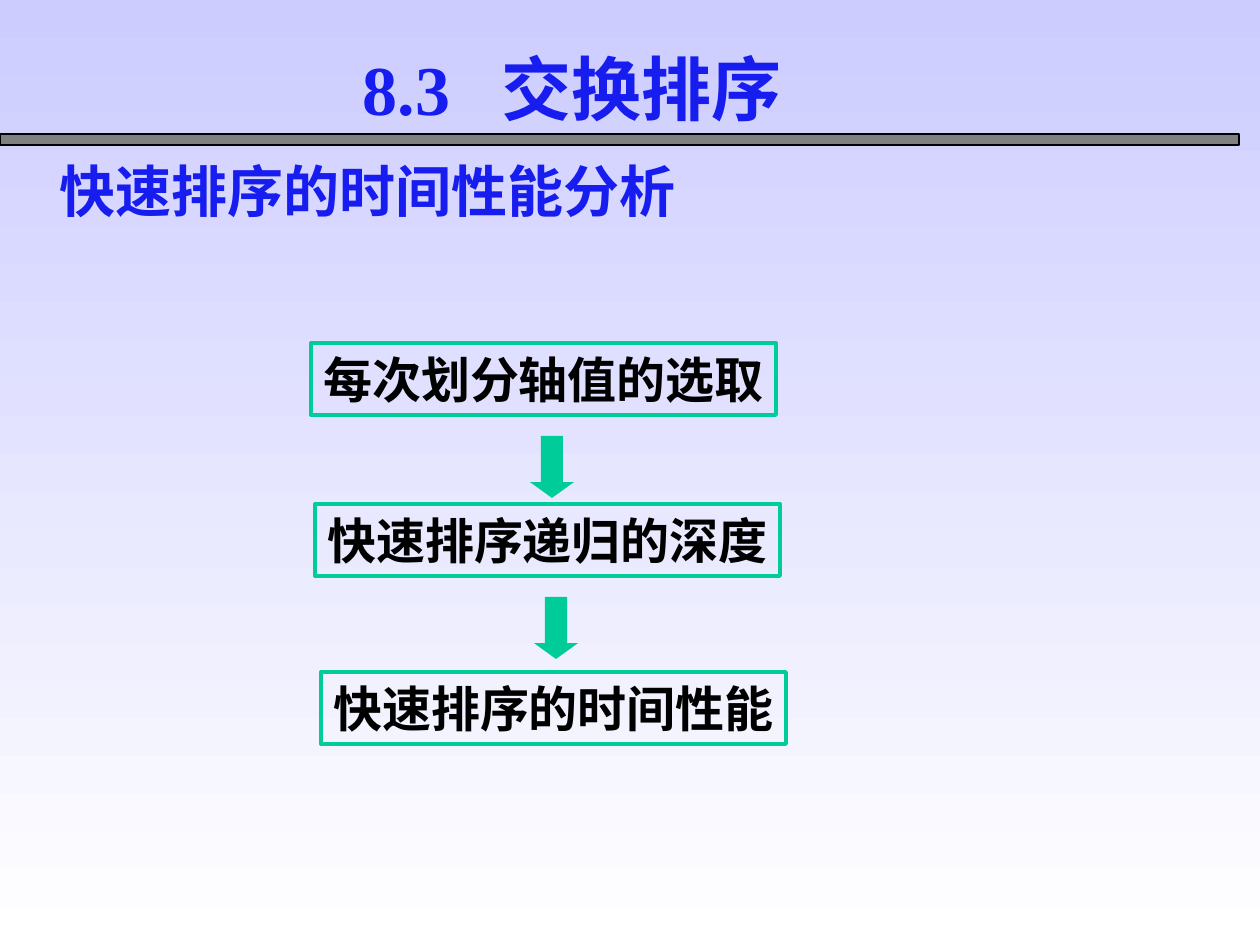
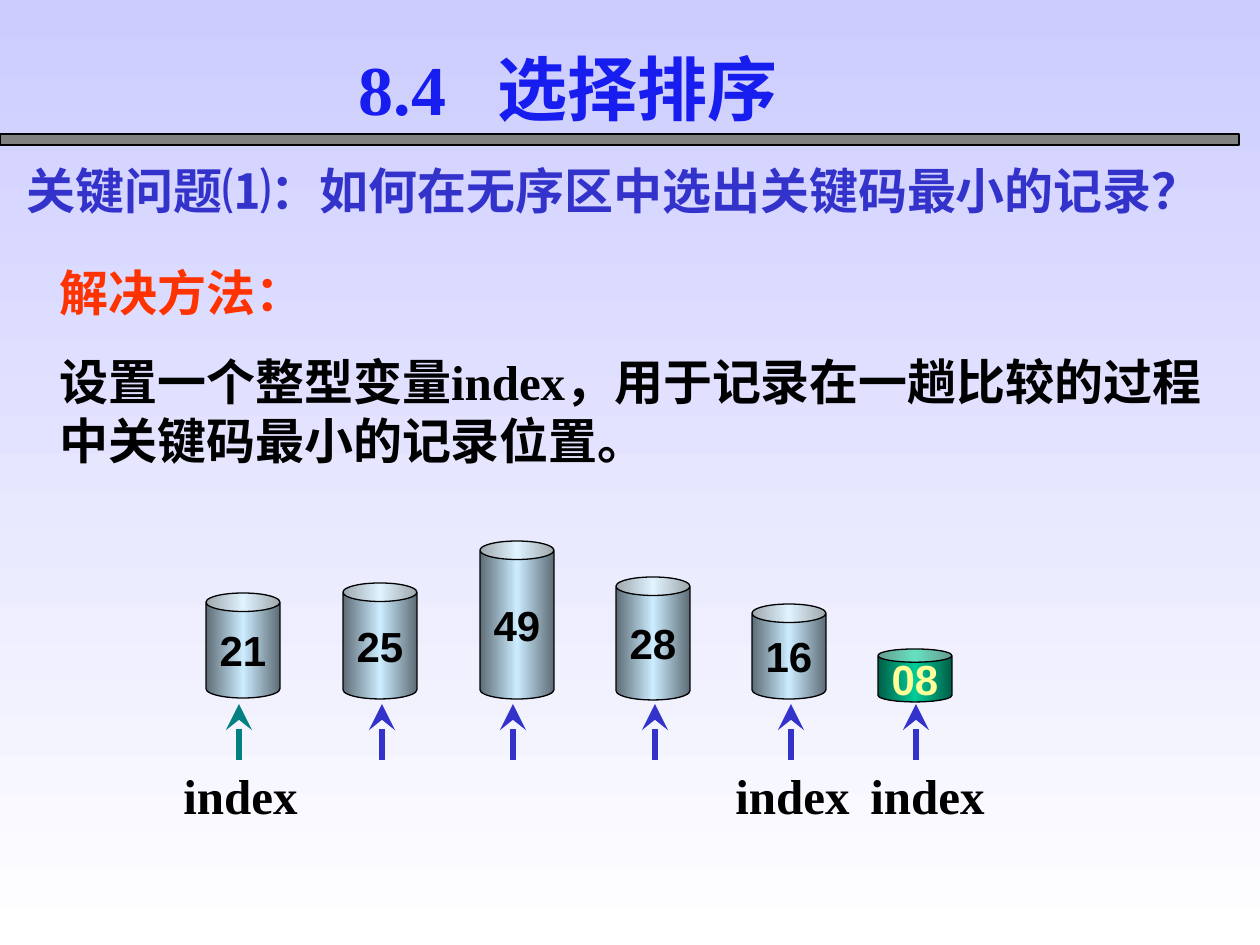
from copy import deepcopy

from lxml.etree import SubElement
from pptx import Presentation
from pptx.dml.color import RGBColor
from pptx.enum.shapes import MSO_CONNECTOR, MSO_SHAPE
from pptx.enum.text import MSO_ANCHOR, MSO_AUTO_SIZE, PP_ALIGN
from pptx.oxml import parse_xml
from pptx.oxml.ns import nsdecls, qn
from pptx.util import Pt

PX = 914400 / 126
SERIF, SANS, CJK = "Times New Roman", "Arial", "Noto Sans CJK SC"
BLUE, INDIGO, GREEN, TEAL = "171CEF", "3333CC", "00CC99", "008080"
RED, BLACK, GREY, YELLOW = "FF3300", "000000", "808080", "FFFF99"


def color(value):
    return RGBColor.from_string(value)


def add_span(para, text, size, font, ink):
    span = para.add_run()
    span.text = text
    span.font.size = Pt(size)
    span.font.bold = True
    span.font.name = font
    span.font.color.rgb = color(ink)
    latin = span._r.rPr.find(qn("a:latin"))
    latin.addnext(parse_xml(f'<a:ea {nsdecls("a")} typeface="{CJK}"/>'))
    return span


deck = Presentation()
deck.slide_width, deck.slide_height = round(1260 * PX), round(945 * PX)

# Shared background
backdrop = deck.slide_master.background.fill
backdrop.gradient()
backdrop.gradient_angle = 270
for stop, shade, position in zip(backdrop.gradient_stops, ("CCCCFF", "FFFFFF"), (0, 1)):
    stop.color.rgb = color(shade)
    stop.position = position

# Titles and body text: title, its left edge, body frame, body paragraphs of spans
contents = [
    ("8.3\t交换排序", 350, (47, 150, 725, 81),
     [[("快速排序的时间性能分析", 32, SERIF, BLUE)]]),
    ("8.4\t选择排序", 346, (47, 256, 1191, 220),
     [[("解决方法：", 28, SERIF, RED)],
      [("设置一个整型变量index，用于记录在一趟比较的过程中关键码", 28, SERIF, BLACK),
       ("最小的记录位置。", 28, CJK, BLACK)]]),
]
pages = []
for heading, heading_left, body_frame, body_paras in contents:
    page = deck.slides.add_slide(deck.slide_layouts[1])
    pages.append(page)

    # Band under the title
    band = page.shapes.add_shape(MSO_SHAPE.RECTANGLE, 0, round(134 * PX),
                                 round(1239 * PX), round(11 * PX))
    band.shadow.inherit = False
    band.fill.solid()
    band.fill.fore_color.rgb = color(GREY)
    band.line.color.rgb = color(BLACK)
    band.line.width = Pt(0.75)

    # Placeholder frames
    title, body = page.shapes.title, page.placeholders[1]
    for holder, frame in ((title, (heading_left, 39, 500, 97)), (body, body_frame)):
        holder.left, holder.top, holder.width, holder.height = [round(n * PX) for n in frame]
        holder.text_frame.vertical_anchor = MSO_ANCHOR.TOP
        holder.text_frame.auto_size = MSO_AUTO_SIZE.NONE
        holder.text_frame.word_wrap = True

    # Title with a tab between number and name, and a text shadow
    para = title.text_frame.paragraphs[0]
    para.alignment = PP_ALIGN.LEFT
    tabs = SubElement(para._p.get_or_add_pPr(), qn("a:tabLst"))
    SubElement(tabs, qn("a:tab"), pos=str(round(139 * PX)), algn="l")
    span = add_span(para, heading, 40, SERIF, BLUE)
    span._r.rPr.find(qn("a:solidFill")).addnext(parse_xml(
        f'<a:effectLst {nsdecls("a")}><a:outerShdw dist="35921" dir="2700000">'
        f'<a:srgbClr val="{GREY}"/></a:outerShdw></a:effectLst>'))

    # Body without bullets
    for i, spans in enumerate(body_paras):
        para = body.text_frame.paragraphs[0] if i == 0 else body.text_frame.add_paragraph()
        props = para._p.get_or_add_pPr()
        props.set("marL", "0")
        props.set("indent", "0")
        SubElement(props, qn("a:buNone"))
        para.space_before = Pt(17.5 if i else 0)
        for words in spans:
            add_span(para, *words)

quick_page, select_page = pages

# Chain of factors
for text, left, top in (("每次划分轴值的选取", 311, 343),
                        ("快速排序递归的深度", 315, 504),
                        ("快速排序的时间性能", 321, 672)):
    box = quick_page.shapes.add_shape(MSO_SHAPE.RECTANGLE, round(left * PX), round(top * PX),
                                      round(465 * PX), round(72 * PX))
    box.shadow.inherit = False
    box.fill.background()
    box.line.color.rgb = color(GREEN)
    box.line.width = Pt(2.25)
    box.text_frame.word_wrap = False
    para = box.text_frame.paragraphs[0]
    para.alignment = PP_ALIGN.CENTER
    add_span(para, text, 28, CJK, BLACK)

for left, top in ((530, 436), (534, 597)):
    arrow = quick_page.shapes.add_shape(MSO_SHAPE.DOWN_ARROW, round(left * PX), round(top * PX),
                                        round(44 * PX), round(62 * PX))
    arrow.adjustments[1] = 0.36
    arrow.shadow.inherit = False
    arrow.fill.solid()
    arrow.fill.fore_color.rgb = color(GREEN)
    arrow.line.fill.background()

# Key question
box = select_page.shapes.add_textbox(round(14 * PX), round(154 * PX),
                                     round(1211 * PX), round(72 * PX))
box.text_frame.word_wrap = True
para = box.text_frame.paragraphs[0]
add_span(para, "关键问题⑴：", 28, CJK, INDIGO)
add_span(para, "如何在无序区中选出关键码最小的记录？", 28, SANS, INDIGO)

# Records: key, left, top, height, pointer x
records = [("21", 206, 593, 105, 239), ("25", 343, 583, 116, 382),
           ("49", 480, 541, 158, 513), ("28", 616, 577, 123, 655),
           ("16", 752, 604, 95, 791), ("08", 878, 649, 53, 916)]
for key, left, top, height, pointer_x in records:
    smallest = key == "08"
    edge, middle, ink = ("005E47", GREEN, YELLOW) if smallest else ("5E6D76", "CCECFF", BLACK)
    can = select_page.shapes.add_shape(MSO_SHAPE.CAN, round(left * PX), round(top * PX),
                                       round(74 * PX), round(height * PX))
    can.shadow.inherit = False
    can.line.color.rgb = color(BLACK)
    can.line.width = Pt(0.75)
    can.fill.gradient()
    can.fill.gradient_angle = 0
    for stop, shade, position in zip(can.fill.gradient_stops, (edge, middle), (0, 0.5)):
        stop.color.rgb = color(shade)
        stop.position = position
    stops = can.element.spPr.find(".//" + qn("a:gsLst"))
    stops.append(deepcopy(stops[0]))
    stops[-1].set("pos", "100000")
    can.text_frame.word_wrap = False
    para = can.text_frame.paragraphs[0]
    para.alignment = PP_ALIGN.CENTER
    add_span(para, key, 24, SANS, ink)

    pointer = select_page.shapes.add_connector(
        MSO_CONNECTOR.STRAIGHT, round(pointer_x * PX), round(760 * PX),
        round(pointer_x * PX), round(704 * PX))
    pointer.line.color.rgb = color(TEAL if key == "21" else INDIGO)
    pointer.line.width = Pt(3)
    SubElement(pointer.line._get_or_add_ln(), qn("a:tailEnd"), type="stealth", w="lg", len="lg")
    SubElement(pointer.element.spPr, qn("a:effectLst"))

# Positions taken by index
for left in (171, 723, 858):
    label = select_page.shapes.add_textbox(round(left * PX), round(759 * PX),
                                           round(144 * PX), round(72 * PX))
    label.text_frame.word_wrap = True
    add_span(label.text_frame.paragraphs[0], "index", 28, SERIF, BLACK)

deck.save("out.pptx")
